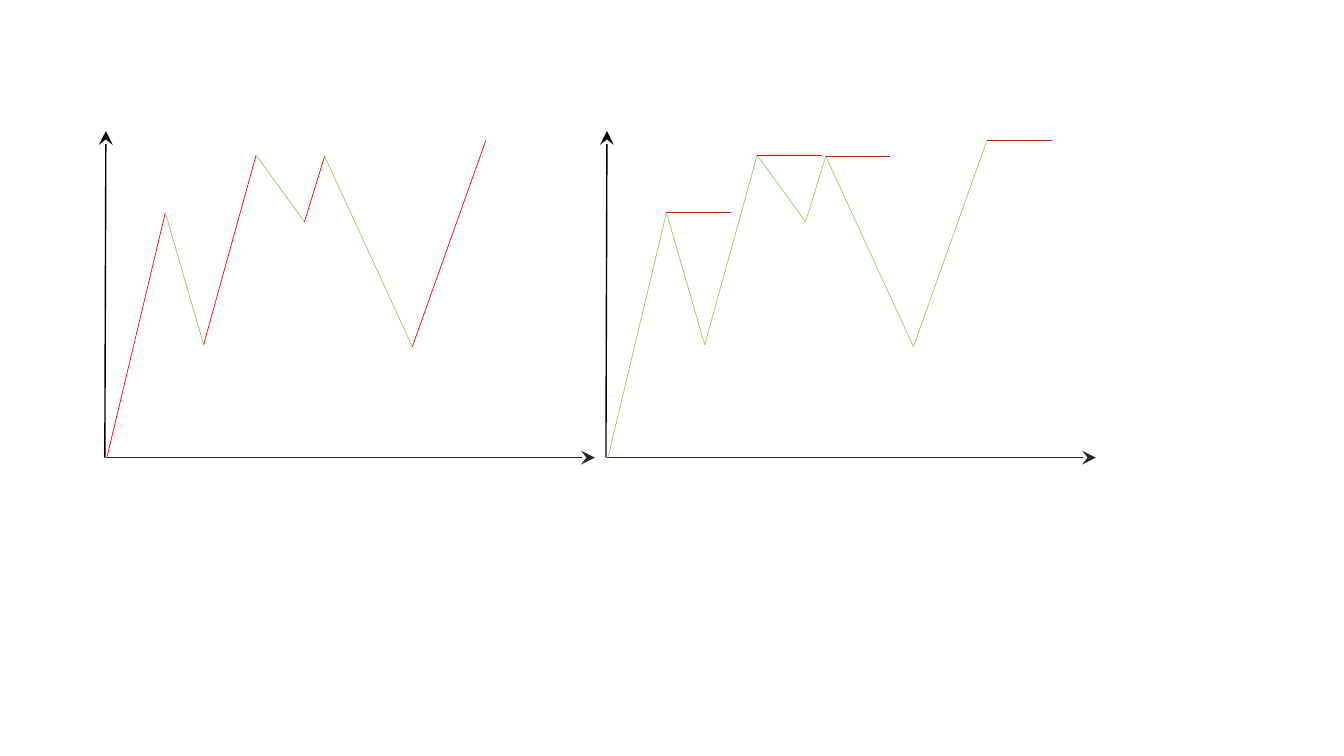
from itertools import pairwise

from lxml import etree
from pptx import Presentation
from pptx.dml.color import RGBColor
from pptx.enum.shapes import MSO_CONNECTOR
from pptx.oxml.ns import qn
from pptx.util import Pt

STRAIGHT = MSO_CONNECTOR.STRAIGHT
PX = 9144  # EMU per px, 100 px to the inch
BLANK_LAYOUT = 6

BLACK = RGBColor(0x00, 0x00, 0x00)
DARK_GRAY = RGBColor(0x26, 0x26, 0x26)
RED = RGBColor(0xFF, 0x00, 0x00)
GREEN = RGBColor(0x92, 0xD0, 0x50)

# Zigzag on the left graph, from the origin through each low and high
TURNING_POINTS = [(106, 454), (164, 211), (202, 342), (254, 154),
                  (302, 220), (322, 155), (409, 344), (482, 139)]
GRAPH_SHIFT = 497  # from the left graph to the right one
PEAK_LINE_LENGTH = 64


def add_line(slide, start, end, color, width=0.5):
    ends = [value * PX for value in (*start, *end)]
    line = slide.shapes.add_connector(STRAIGHT, *ends)
    line.line.color.rgb = color
    line.line.width = Pt(width)
    etree.SubElement(line._element.spPr, qn("a:effectLst"))
    return line


def add_axis(slide, start, end, color):
    axis = add_line(slide, start, end, color, width=1)
    etree.SubElement(axis.line._get_or_add_ln(), qn("a:tailEnd"),
                     type="stealth", w="lg", len="lg")


def add_graph(slide, shift, rise_color, fall_color):
    add_axis(slide, (104 + shift, 454), (105 + shift, 130), BLACK)
    add_axis(slide, (105 + shift, 454), (590 + shift, 454), DARK_GRAY)
    points = [(x + shift, y) for x, y in TURNING_POINTS]
    for start, end in pairwise(points):
        color = rise_color if end[1] < start[1] else fall_color
        add_line(slide, start, end, color)
    return points


def main():
    prs = Presentation()
    prs.slide_width, prs.slide_height = 1333 * PX, 750 * PX
    slide = prs.slides.add_slide(prs.slide_layouts[BLANK_LAYOUT])

    # Left graph: rises in red, falls in green
    add_graph(slide, 0, RED, GREEN)

    # Right graph: all green, with a red level line at each peak
    points = add_graph(slide, GRAPH_SHIFT, GREEN, GREEN)
    for x, y in points[1::2]:
        add_line(slide, (x, y), (x + PEAK_LINE_LENGTH, y), RED)

    prs.save("out.pptx")


if __name__ == "__main__":
    main()
